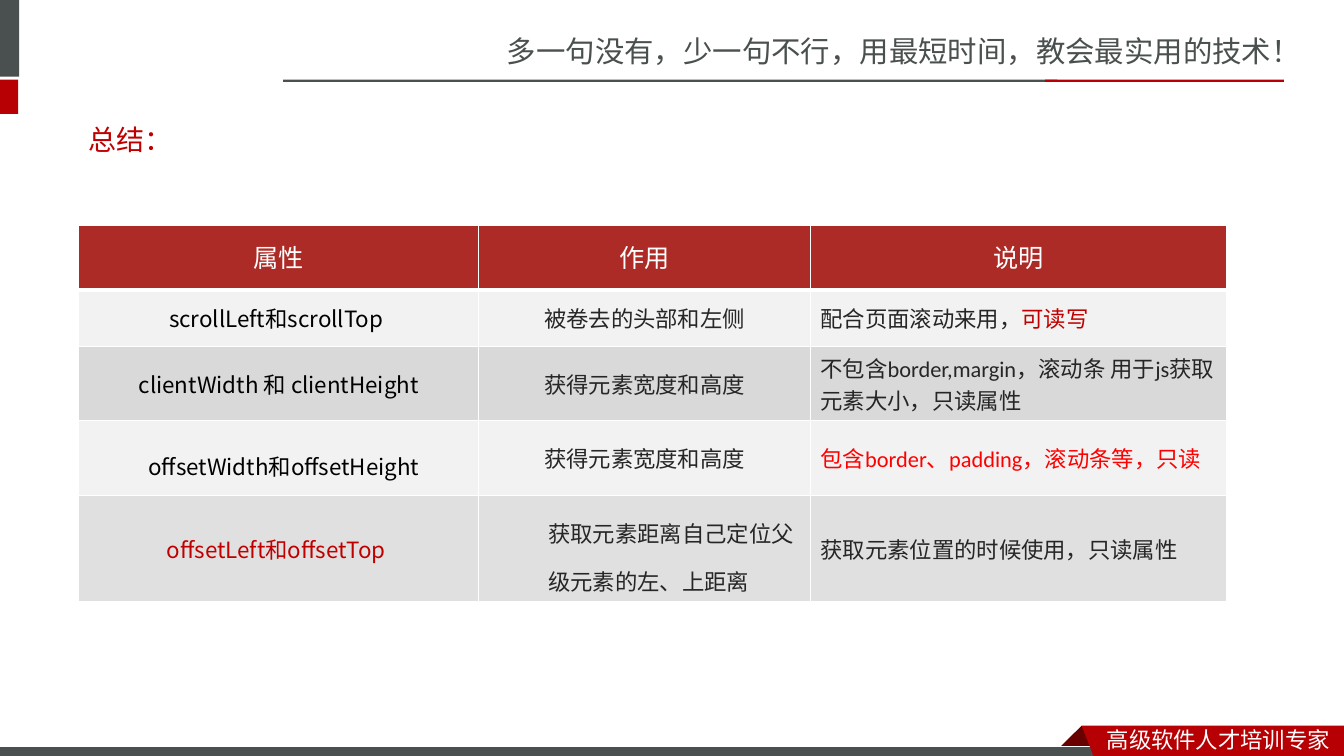
"""Build a summary slide with a table of scroll, client and offset properties."""
from lxml.etree import SubElement
from pptx import Presentation
from pptx.dml.color import RGBColor
from pptx.enum.shapes import MSO_SHAPE
from pptx.enum.text import MSO_ANCHOR, PP_ALIGN
from pptx.oxml.ns import qn
from pptx.util import Pt

THEME = {
    "white": "FFFFFF", "black": "000000", "slate": "49504F", "red": "B60004",
    "fold": "680000", "accent": "C00000", "alert": "FF0000", "body": "262626",
    "head": "AD2B26", "light": "F2F2F2", "dark": "D9D9D9",
    "cjk": "Noto Sans CJK SC", "code": "Noto Sans CJK JP",
    "latin": "Calibri", "title": "Lato",
    "slogan_pt": 21, "title_pt": 20, "head_pt": 18, "body_pt": 16,
}
SLOGAN = "多一句没有，少一句不行，用最短时间，教会最实用的技术！"
TITLE = "总结："
FOOTER = "高级软件人才培训专家"
HEADERS = ["属性", "作用", "说明"]
ROWS = [
    ("scrollLeft和scrollTop ", "被卷去的头部和左侧",
     [("配合页面滚动来用，", "body"), ("可读写", "accent")]),
    ("clientWidth 和 clientHeight", "获得元素宽度和高度",
     [("不包含border,margin，滚动条 用于js获取元素大小，只读属性", "body")]),
    ("offsetWidth和offsetHeight", "获得元素宽度和高度",
     [("包含border、padding，滚动条等，只读", "alert")]),
    ("offsetLeft和offsetTop ", "获取元素距离自己定位父级元素的左、上距离",
     [("获取元素位置的时候使用，只读属性", "body")]),
]
ROW_FILLS = [("light", 100), ("dark", 100), ("light", 100), ("dark", 80)]
INDENTED = {(3, 0), (4, 1)}
COL_WIDTHS = [285.8, 236.9, 297.4]
ROW_HEIGHTS = [46.3, 40.3, 53, 53.5, 76]
TABLE_LEFT, TABLE_TOP = 56.2, 160.8
BARS = [
    (-4.3, 0, 18, 54.7, "slate"), (-4.3, 56.9, 17.3, 24.5, "red"),
    (202.3, 56.9, 553, 1.6, "slate"), (746.6, 56.9, 170.6, 1.6, "red"),
]
FOLD = [(772.6, 518.4), (788.4, 534.2), (787.7, 535), (757.4, 535), (756.7, 534.2)]
RIBBON = [(772.6, 518.4), (960, 518.4), (960, 542.9), (781.9, 542.2)]


def color(name):
    return RGBColor.from_string(THEME[name])


def paint(sp, fill, line=None):
    sp.shadow.inherit = False
    sp.fill.solid()
    sp.fill.fore_color.rgb = color(fill)
    if line:
        sp.line.color.rgb = color(line)
        sp.line.width = Pt(0.75)
    else:
        sp.line.fill.background()


def bar(s, left, top, width, height, fill, line=None):
    box = map(Pt, (left, top, width, height))
    paint(s.shapes.add_shape(MSO_SHAPE.RECTANGLE, *box), fill, line)


def polygon(s, points, fill):
    start, *rest = [(Pt(x), Pt(y)) for x, y in points]
    fb = s.shapes.build_freeform(*start)
    fb.add_line_segments(rest, close=True)
    paint(fb.convert_to_shape(), fill)


def write(p, text, font="latin", size="body_pt", ink="body", align=None, spacing=None):
    r = p.add_run()
    r.text = text
    r.font.name = THEME[font]
    r.font.size = Pt(THEME[size])
    r.font.color.rgb = color(ink)
    SubElement(r.font._element, qn("a:ea")).set("typeface", THEME["cjk"])
    if align is not None:
        p.alignment = align
    if spacing is not None:
        p.line_spacing = spacing


def label(s, box, text, wrap=False, anchor=MSO_ANCHOR.TOP, **fmt):
    tf = s.shapes.add_textbox(*map(Pt, box)).text_frame
    tf.word_wrap = wrap
    tf.vertical_anchor = anchor
    write(tf.paragraphs[0], text, **fmt)


def style_cell(cell, fill, alpha, row):
    cell.vertical_anchor = MSO_ANCHOR.MIDDLE
    cell.fill.solid()
    cell.fill.fore_color.rgb = color(fill)
    tcPr = cell._tc.get_or_add_tcPr()
    if alpha < 100:
        clr = tcPr.find(qn("a:solidFill"))[0]
        SubElement(clr, qn("a:alpha")).set("val", str(alpha * 1000))
    heavy = {0: "B", 1: "T"}.get(row)
    for i, side in enumerate("LRTB"):
        ln = SubElement(tcPr, qn(f"a:ln{side}"), w=str(Pt(3 if side == heavy else 1)))
        SubElement(SubElement(ln, qn("a:solidFill")), qn("a:srgbClr"), val=THEME["white"])
        tcPr.insert(i, ln)


def add_summary(s):
    box = map(Pt, (TABLE_LEFT, TABLE_TOP, sum(COL_WIDTHS), sum(ROW_HEIGHTS)))
    tbl = s.shapes.add_table(len(ROWS) + 1, len(HEADERS), *box).table
    tbl.first_row = tbl.horz_banding = False
    for col, width in zip(tbl.columns, COL_WIDTHS):
        col.width = Pt(width)
    for row, height in zip(tbl.rows, ROW_HEIGHTS):
        row.height = Pt(height)
    for c, text in enumerate(HEADERS):
        cell = tbl.cell(0, c)
        style_cell(cell, "head", 100, 0)
        write(cell.text_frame.paragraphs[0], text, size="head_pt", ink="white",
              align=PP_ALIGN.CENTER, spacing=Pt(24))
    for r, (names, purpose, notes) in enumerate(ROWS, 1):
        name_ink = "accent" if r == len(ROWS) else "black"
        columns = [[(names, name_ink)], [(purpose, "body")], notes]
        for c, runs in enumerate(columns):
            cell = tbl.cell(r, c)
            style_cell(cell, *ROW_FILLS[r - 1], r)
            p = cell.text_frame.paragraphs[0]
            indented = (r, c) in INDENTED
            if indented:
                p.level = 1
                pPr = p._p.get_or_add_pPr()
                pPr.set("marL", str(Pt(42.5)))
                pPr.set("indent", "0")
            align = PP_ALIGN.LEFT if indented or c == 2 else PP_ALIGN.CENTER
            for text, ink in runs:
                write(p, text, font="latin" if c else "code", ink=ink,
                      align=align, spacing=1.5 if indented else None)


def main():
    prs = Presentation()
    prs.slide_width, prs.slide_height = Pt(960), Pt(540)
    s = prs.slides.add_slide(prs.slide_layouts[6])
    label(s, (355, 20.2, 605.5, 33.8), SLOGAN, font="cjk", size="slogan_pt", ink="slate")
    for spec in BARS:
        bar(s, *spec)
    polygon(s, FOLD, "fold")
    bar(s, -0.7, 533.5, 792, 8.6, "slate", line="white")
    polygon(s, RIBBON, "red")
    label(s, (783.4, 514.8, 176.4, 26.6), FOOTER, font="cjk", ink="white")
    label(s, (56.2, 79.2, 846, 41), TITLE, wrap=True, anchor=MSO_ANCHOR.MIDDLE,
          font="title", size="title_pt", ink="accent")
    add_summary(s)
    prs.save("out.pptx")


if __name__ == "__main__":
    main()
